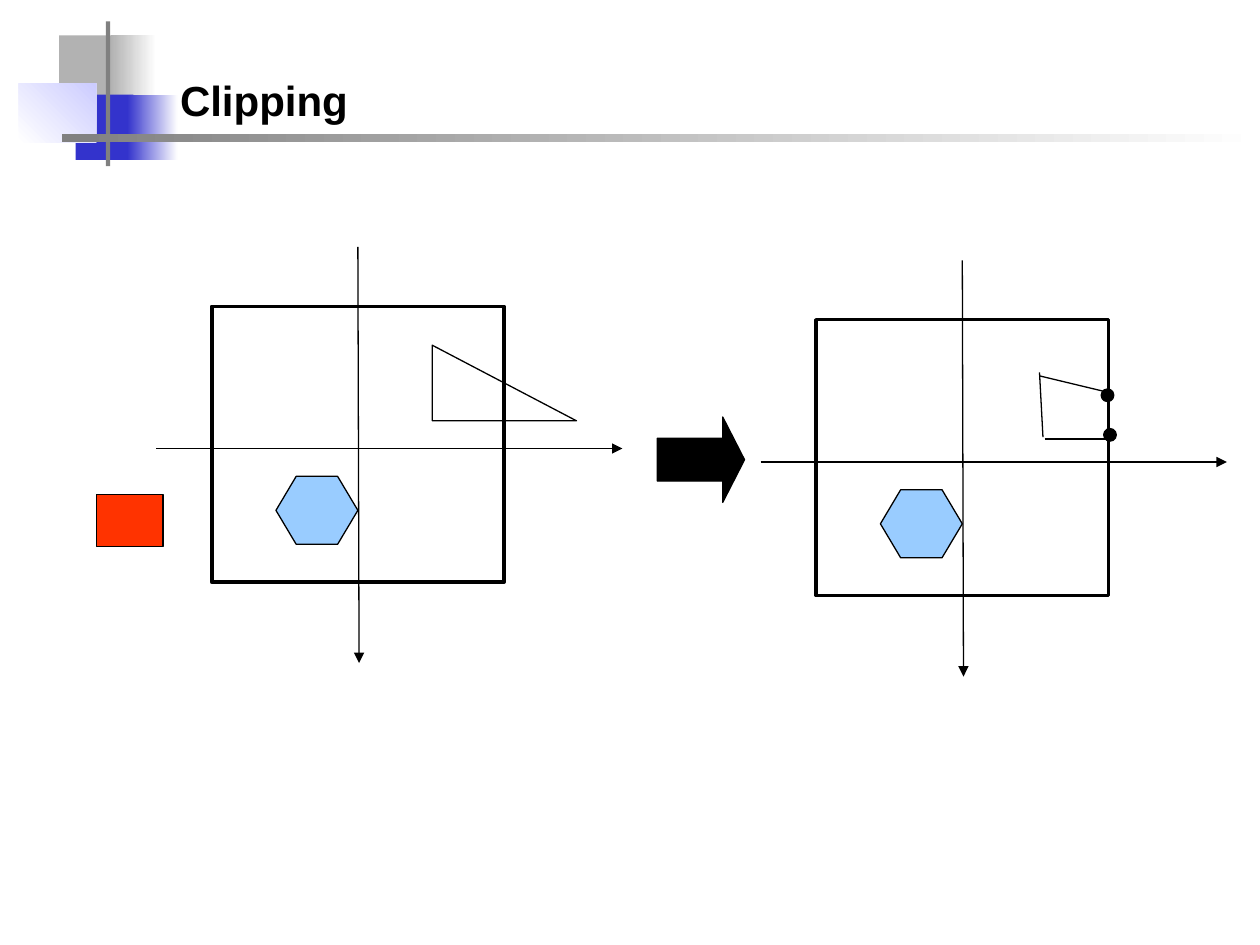
"""Build a slide that shows polygon clipping against a window."""
from dataclasses import dataclass

from lxml import etree
from pptx import Presentation
from pptx.dml.color import RGBColor
from pptx.enum.shapes import MSO_CONNECTOR, MSO_SHAPE
from pptx.enum.text import MSO_ANCHOR
from pptx.oxml.ns import qn
from pptx.util import Pt

RECT, OVAL = MSO_SHAPE.RECTANGLE, MSO_SHAPE.OVAL
HEX, ARROW = MSO_SHAPE.HEXAGON, MSO_SHAPE.RIGHT_ARROW
WEDGE = MSO_SHAPE.RIGHT_TRIANGLE
STRAIGHT = MSO_CONNECTOR.STRAIGHT
MIDDLE = MSO_ANCHOR.MIDDLE
BLACK, WHITE, GREY = "000000", "FFFFFF", "808080"
SILVER, BLUE, LILAC = "B2B2B2", "3333CC", "CCCCFF"
SKY, RED = "99CCFF", "FF3300"
THIN, THICK = 0.75, 2


@dataclass
class Form:
    kind: int
    x: float
    y: float
    w: float
    h: float
    fill: tuple = ()
    line: float = THIN
    angle: float = 0
    adjust: tuple = ()


@dataclass
class Stroke:
    x1: float
    y1: float
    x2: float
    y2: float
    arrow: bool = False


DECOR = [
    Form(RECT, 33.8, 20.2, 34.6, 37.4, (SILVER,), 0),
    Form(RECT, 63.4, 20.2, 25.9, 37.4, (SILVER, WHITE), 0),
    Form(RECT, 43.2, 54, 33.1, 37.4, (BLUE,), 0),
    Form(RECT, 72.7, 54, 28.8, 37.4, (BLUE, WHITE), 0),
    Form(RECT, 10.6, 47.7, 44.4, 33.6, (WHITE, LILAC), 0, 45),
    Form(RECT, 60.5, 12.2, 2.4, 82.8, (GREY,), 0),
    Form(RECT, 35.3, 76.7, 684.7, 4.5, (GREY, WHITE), 0),
]
PANEL = [
    Form(RECT, 121, 175, 167, 157.7, line=THICK),
    Stroke(204.5, 141.1, 205.2, 378.9, True),
    Stroke(89.3, 256.3, 355.7, 256.3, True),
    Form(HEX, 157.7, 272.2, 46.8, 38.9, (SKY,), adjust=(0.298,)),
]
BEFORE = [
    Form(WEDGE, 247, 197.3, 82.4, 43.2),
    Form(RECT, 55, 282.6, 38.2, 29.8, (RED,)),
    Form(ARROW, 375.6, 238.3, 49.9, 48.8, (BLACK,), adjust=(0.5, 0.255)),
]
AFTER = [
    Stroke(594, 212.8, 596, 249.8),
    Stroke(597, 250.8, 633, 250.8),
    Stroke(594, 214.8, 634, 224.4),
    Form(OVAL, 629.3, 222.3, 7.2, 7.2, (BLACK,)),
    Form(OVAL, 630.7, 244.9, 7.2, 7.2, (BLACK,)),
]
SHIFT = (345.4, 7.7)


def paint(color, code: str) -> None:
    """Set a colour from a hex string."""
    color.rgb = RGBColor.from_string(code)


def ink(line, width: float) -> None:
    """Give an outline its width in black."""
    line.fill.solid()
    paint(line.color, BLACK)
    line.width = Pt(width)


def fill(shape, form: Form) -> None:
    """Fill a shape with no colour, one colour or a gradient."""
    if not form.fill:
        shape.fill.background()
    elif len(form.fill) == 1:
        shape.fill.solid()
        paint(shape.fill.fore_color, form.fill[0])
    else:
        shape.fill.gradient()
        shape.fill.gradient_angle = form.angle
        for stop, code in zip(shape.fill.gradient_stops, form.fill):
            paint(stop.color, code)


def shape(slide, form: Form, dx: float, dy: float) -> None:
    """Draw a preset shape."""
    box = map(Pt, (form.x + dx, form.y + dy, form.w, form.h))
    item = slide.shapes.add_shape(form.kind, *box)
    item.shadow.inherit = False
    for i, value in enumerate(form.adjust):
        item.adjustments[i] = value
    fill(item, form)
    if form.line:
        ink(item.line, form.line)
    else:
        item.line.fill.background()


def stroke(slide, part: Stroke, dx: float, dy: float) -> None:
    """Draw a straight line, with an arrowhead if asked."""
    ends = map(Pt, (part.x1 + dx, part.y1 + dy, part.x2 + dx, part.y2 + dy))
    item = slide.shapes.add_connector(STRAIGHT, *ends)
    ink(item.line, THIN)
    if part.arrow:
        tail = etree.SubElement(item.line._get_or_add_ln(), qn("a:tailEnd"))
        tail.set("type", "triangle")
    etree.SubElement(item._element.spPr, qn("a:effectLst"))


def draw(slide, parts: list, dx: float = 0, dy: float = 0) -> None:
    """Draw parts in order, moved by an offset."""
    for part in parts:
        tool = shape if isinstance(part, Form) else stroke
        tool(slide, part, dx, dy)


def title(slide, text: str) -> None:
    """Write the slide title."""
    box = slide.shapes.add_textbox(*map(Pt, (95.8, 36, 540, 41.8)))
    frame = box.text_frame
    frame.word_wrap = True
    frame.vertical_anchor = MIDDLE
    frame.text = text
    font = frame.paragraphs[0].runs[0].font
    for name, value in {"name": "Arial", "size": Pt(24), "bold": True}.items():
        setattr(font, name, value)
    paint(font.color, BLACK)


def main() -> None:
    """Build and save the slide."""
    deck = Presentation()
    deck.slide_width, deck.slide_height = Pt(720), Pt(540)
    slide = deck.slides.add_slide(deck.slide_layouts[6])
    draw(slide, DECOR)
    title(slide, "Clipping")
    draw(slide, PANEL + BEFORE)
    draw(slide, PANEL, *SHIFT)
    draw(slide, AFTER)
    deck.save("out.pptx")


if __name__ == "__main__":
    main()
